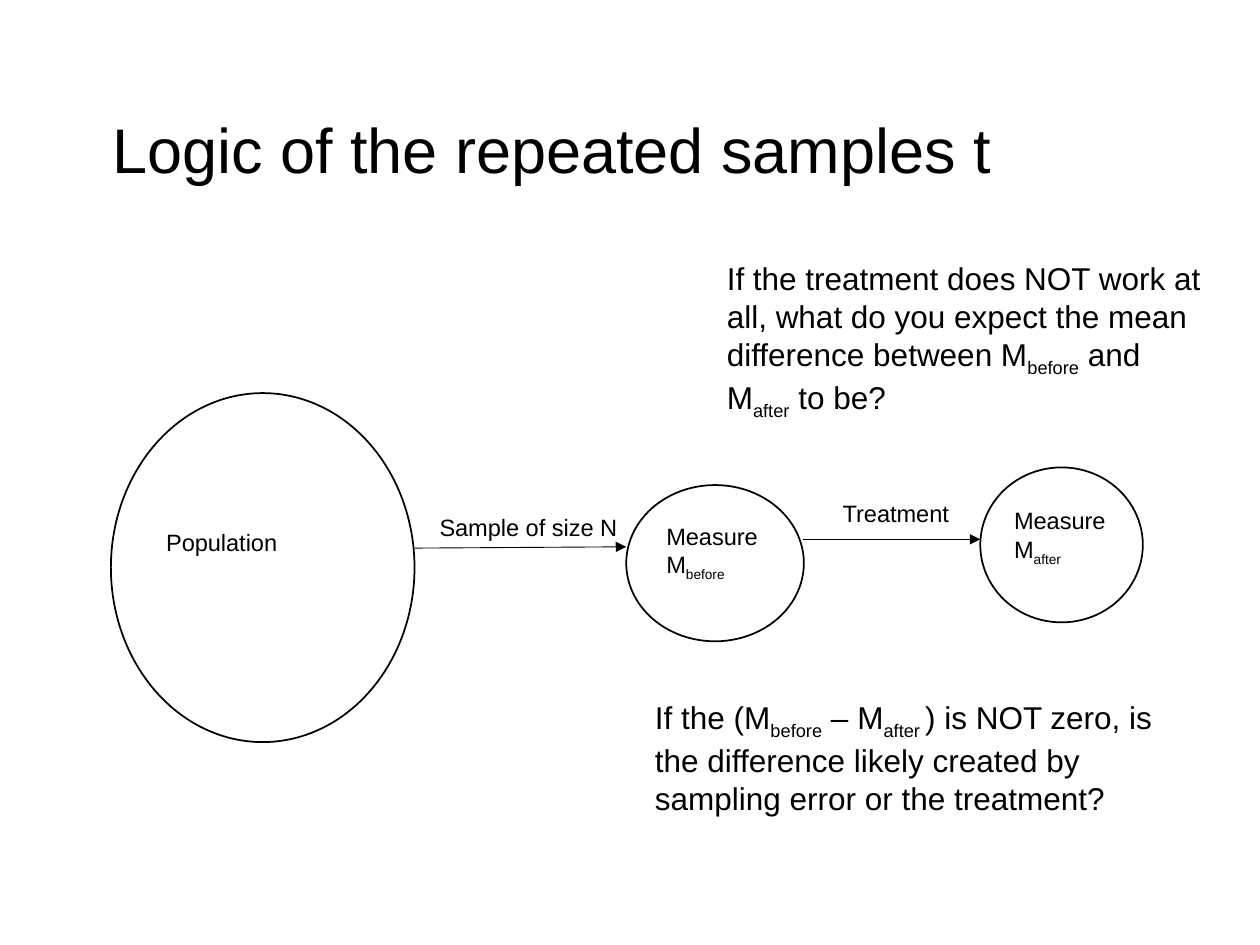
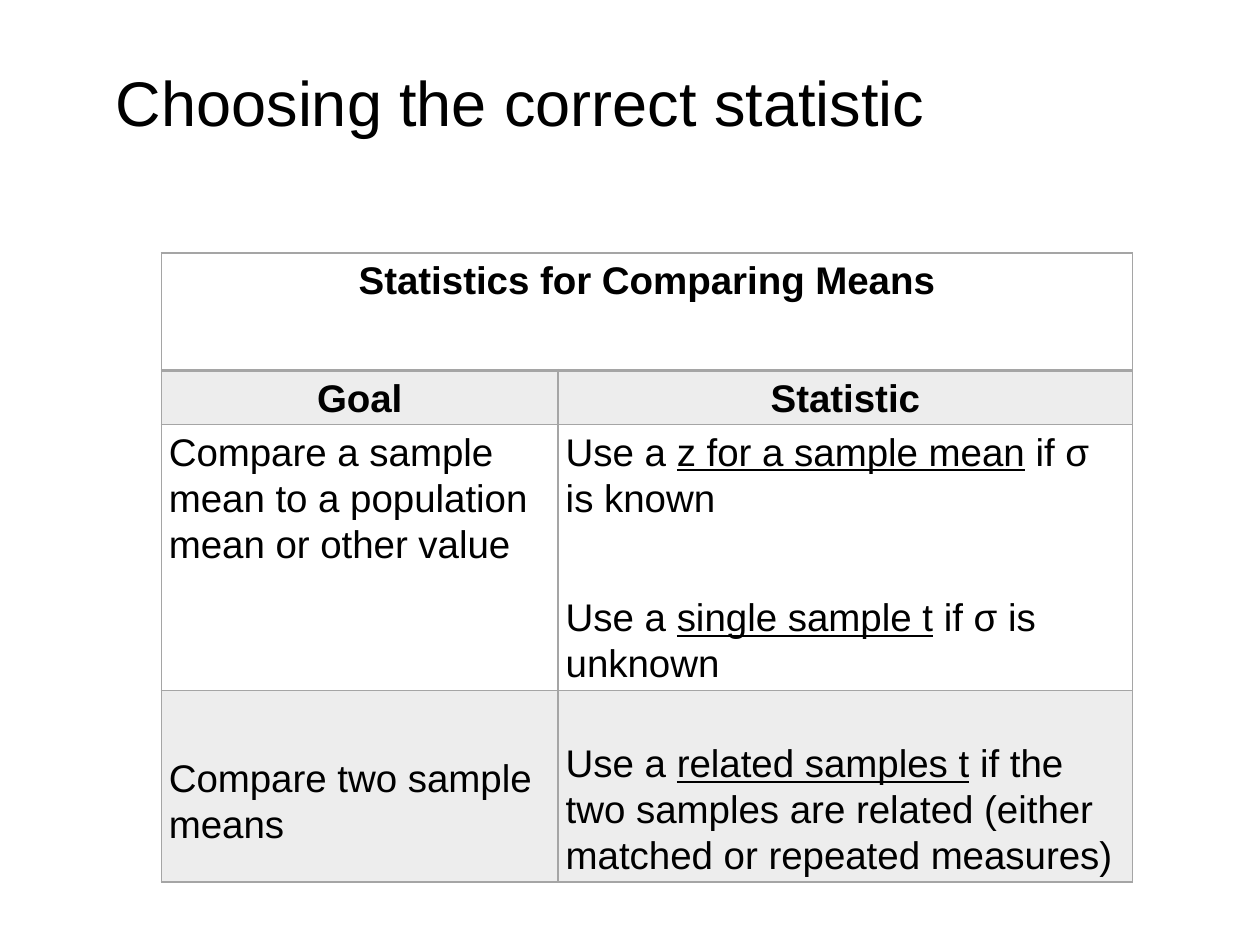
from lxml.etree import SubElement
from pptx import Presentation
from pptx.dml.color import RGBColor
from pptx.enum.shapes import MSO_CONNECTOR, MSO_SHAPE
from pptx.enum.text import MSO_ANCHOR, PP_ALIGN
from pptx.oxml.ns import qn
from pptx.util import Inches, Pt

COLUMNS, ROWS = 100, 75
SLIDE_WIDTH, SLIDE_HEIGHT = Inches(10), Inches(7.5)
FONT = "Arial"
BLACK, WHITE, BORDER, BAND = "000000", "FFFFFF", "A5A5A5", "EDEDED"
TITLE_SIZE, QUESTION_SIZE, LABEL_SIZE, TABLE_SIZE = 36, 18, 13.5, 22


def color(hex_value):
    return RGBColor.from_string(hex_value)


def across(columns):
    return int(SLIDE_WIDTH * columns / COLUMNS)


def down(rows):
    return int(SLIDE_HEIGHT * rows / ROWS)


def grid(left, top, width, height):
    return across(left), down(top), across(width), down(height)


def subscript(run):
    run._r.get_or_add_rPr().set("baseline", "-25000")


def underline(run):
    run.font.underline = True


def write(paragraph, text, size, mark=None, bold=False):
    for index, part in enumerate(text.split("|")):
        if not part:
            continue
        run = paragraph.add_run()
        run.text = part
        run.font.name, run.font.size, run.font.bold = FONT, Pt(size), bold
        run.font.color.rgb = color(BLACK)
        if index % 2:
            mark(run)


def add_titled_slide(presentation, title, area):
    slide = presentation.slides.add_slide(presentation.slide_layouts[5])
    shape = slide.shapes.title
    shape.left, shape.top, shape.width, shape.height = grid(*area)
    shape.text_frame.vertical_anchor = MSO_ANCHOR.MIDDLE
    paragraph = shape.text_frame.paragraphs[0]
    paragraph.alignment = PP_ALIGN.LEFT
    paragraph.line_spacing = 0.9
    write(paragraph, title, TITLE_SIZE)
    return slide


def add_text(slide, area, text, size=LABEL_SIZE):
    text_frame = slide.shapes.add_textbox(*grid(*area)).text_frame
    text_frame.word_wrap = True
    for index, line in enumerate(text.split("\n")):
        paragraph = text_frame.add_paragraph() if index else text_frame.paragraphs[0]
        write(paragraph, line, size, subscript)


def add_circle(slide, area):
    shape = slide.shapes.add_shape(MSO_SHAPE.OVAL, *grid(*area))
    shape.shadow.inherit = False
    shape.fill.solid()
    shape.fill.fore_color.rgb = color(WHITE)
    shape.line.color.rgb = color(BLACK)
    shape.line.width = Pt(1)


def add_arrow(slide, start, end):
    connector = slide.shapes.add_connector(
        MSO_CONNECTOR.STRAIGHT,
        across(start[0]), down(start[1]), across(end[0]), down(end[1]))
    connector.line.color.rgb = color(BLACK)
    connector.line.width = Pt(0.5)
    SubElement(connector.line._get_or_add_ln(), qn("a:tailEnd"), type="triangle")
    SubElement(connector._element.spPr, qn("a:effectLst"))


def set_borders(cell, heavy_side=None):
    properties = cell._tc.get_or_add_tcPr()
    for side in ("lnL", "lnR", "lnT", "lnB"):
        width = Pt(2 if side == heavy_side else 1)
        line = SubElement(properties, qn(f"a:{side}"), w=str(width))
        fill = SubElement(line, qn("a:solidFill"))
        SubElement(fill, qn("a:srgbClr"), val=BORDER)


def format_cell(cell, fill, heavy_side=None):
    set_borders(cell, heavy_side)
    cell.fill.solid()
    cell.fill.fore_color.rgb = color(fill)
    cell.margin_left = cell.margin_right = Inches(0.06)
    cell.margin_top = cell.margin_bottom = Inches(0.03)


def fill_cell(cell, text, header):
    for index, line in enumerate(text.split("\n")):
        paragraph = cell.text_frame.add_paragraph() if index else cell.text_frame.paragraphs[0]
        paragraph.alignment = PP_ALIGN.CENTER if header else PP_ALIGN.LEFT
        paragraph.line_spacing = 1.07
        paragraph.space_after = Pt(8)
        if index:
            paragraph.space_before = Pt(34)
        write(paragraph, line, TABLE_SIZE, underline, header)


def add_table(slide, left, top, widths, heights, content):
    frame = slide.shapes.add_table(
        len(heights), len(widths), *grid(left, top, sum(widths), sum(heights)))
    table = frame.table
    table.first_row = table.horz_banding = False
    for column, width in zip(table.columns, widths):
        column.width = across(width)
    for row, height in zip(table.rows, heights):
        row.height = down(height)
    for row, texts in enumerate(content):
        for column in range(len(widths)):
            cell = table.cell(row, column)
            format_cell(cell, BAND if row % 2 else WHITE, {0: "lnB", 1: "lnT"}.get(row))
            if column < len(texts):
                fill_cell(cell, texts[column], row < 2)
    table.cell(0, 0).merge(table.cell(0, len(widths) - 1))
    return table


def build_logic_slide(presentation):
    slide = add_titled_slide(
        presentation, "Logic of the repeated samples t", (7.9, 4.9, 86.2, 14.5))
    for area in ((8.8, 31.2, 24.1, 27.7), (49.7, 38.5, 14.1, 12.4), (77.8, 37.1, 12.9, 12.3)):
        add_circle(slide, area)
    add_arrow(slide, (32.9, 43.5), (49.7, 43.4))
    add_arrow(slide, (63.7, 42.8), (77.8, 42.8))
    labels = (
        ((12.2, 41.4, 19, 3.3), "Population"),
        ((33.9, 40.2, 19, 3.3), "Sample of size N"),
        ((51.9, 40.9, 11.9, 5.6), "Measure M|before|"),
        ((65.9, 39.1, 19, 3.3), "Treatment"),
        ((79.5, 39.7, 11.9, 5.6), "Measure\nM|after|"),
    )
    for area, text in labels:
        add_text(slide, area, text)
    questions = (
        ((56.7, 20.1, 39.6, 13.1),
         "If the treatment does NOT work at all, what do you expect the mean "
         "difference between M|before| and M|after| to be?"),
        ((51, 54.9, 42.4, 10.1),
         "If the (M|before| – M|after |) is NOT zero, is the difference likely "
         "created by sampling error or the treatment?"),
    )
    for area, text in questions:
        add_text(slide, area, text, QUESTION_SIZE)


def build_statistic_slide(presentation):
    slide = add_titled_slide(
        presentation, "Choosing the correct statistic", (8.2, 3.5, 86.2, 9.9))
    content = (
        ("Statistics for Comparing Means",),
        ("Goal", "Statistic"),
        ("Compare a sample mean to a population mean or other value",
         "Use a |z for a sample mean| if σ is known\n"
         "Use a |single sample t| if σ is unknown"),
        ("Compare two sample means",
         "Use a |related samples t| if the two samples are related "
         "(either matched or repeated measures)"),
    )
    table = add_table(slide, 12.8, 20.1, (31.5, 45.6), (9.3, 4.3, 21.1, 15.2), content)
    for cell in table.rows[3].cells:
        cell.vertical_anchor = MSO_ANCHOR.BOTTOM
    table.cell(3, 0).margin_bottom = Inches(0.28)


def main():
    presentation = Presentation()
    presentation.slide_width, presentation.slide_height = SLIDE_WIDTH, SLIDE_HEIGHT
    build_logic_slide(presentation)
    build_statistic_slide(presentation)
    presentation.save("out.pptx")


if __name__ == "__main__":
    main()
